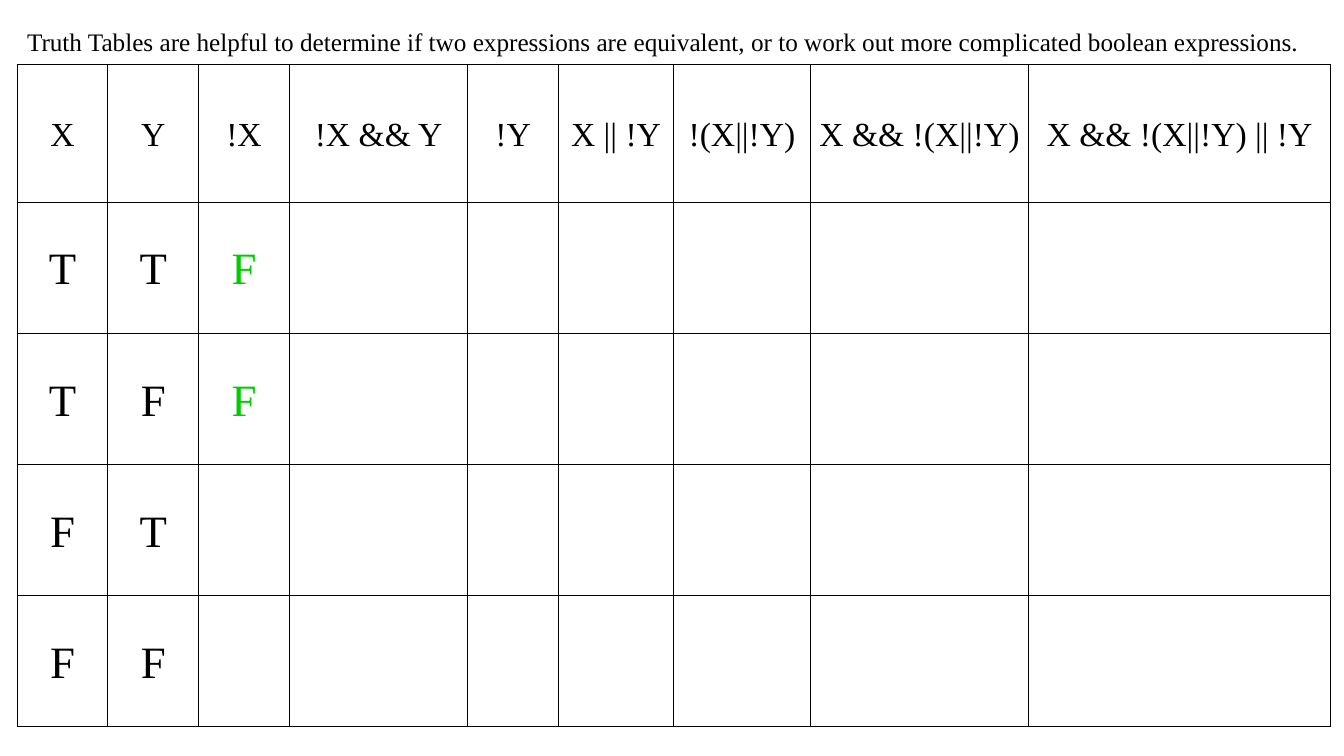
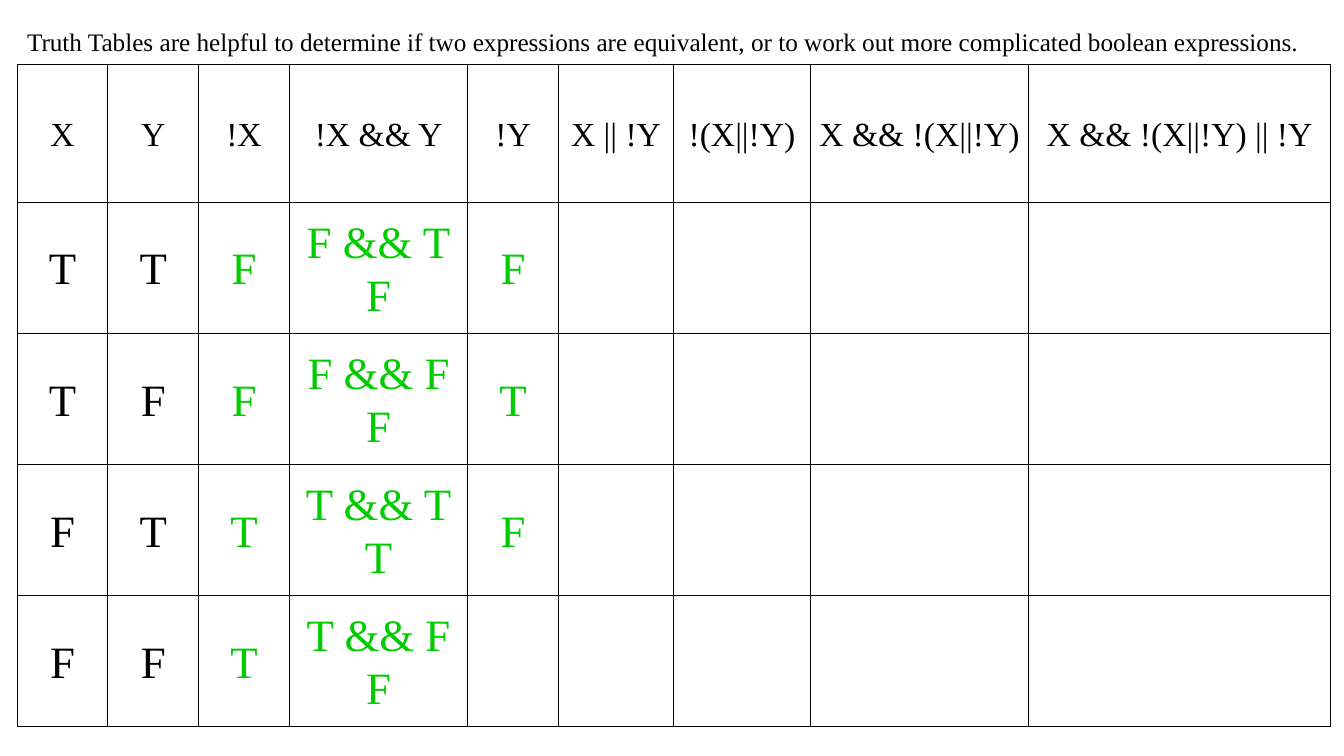
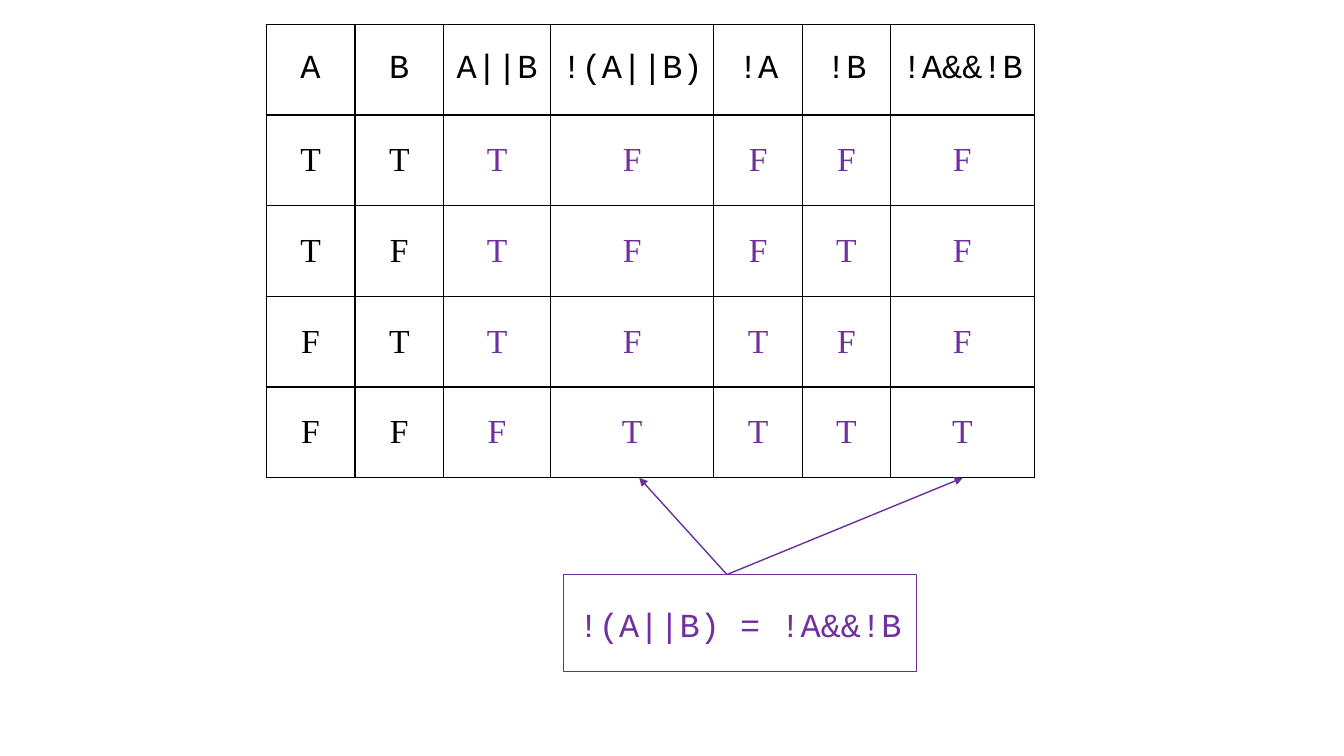
from pptx import Presentation
from pptx.dml.color import RGBColor
from pptx.enum.shapes import MSO_CONNECTOR, MSO_SHAPE
from pptx.enum.text import MSO_ANCHOR as Anchor, PP_ALIGN as Align
from pptx.oxml import parse_xml
from pptx.oxml.ns import nsdecls
from pptx.util import Inches, Pt

BLACK = RGBColor(0x00, 0x00, 0x00)
WHITE = RGBColor(0xFF, 0xFF, 0xFF)
GREEN = RGBColor(0x00, 0xCC, 0x00)
PURPLE = RGBColor(0x70, 0x30, 0xA0)
OUTLINE = RGBColor(0x6E, 0x2F, 0x9D)
SERIF = "Times New Roman"
MONO = "Courier New"

CAPTION = ("Truth Tables are helpful to determine if two expressions are equivalent, "
           "or to work out more complicated boolean expressions.")
EXPRESSIONS = ["X", "Y", "!X", "!X && Y", "!Y", "X || !Y", "!(X||!Y)",
               "X && !(X||!Y)", "X && !(X||!Y) || !Y"]
EXPRESSION_WIDTHS = [0.9, 0.9, 0.9, 1.77, 0.9, 1.14, 1.36, 2.16, 3]
EXPRESSION_HEIGHTS = [1.37] + [1.3] * 4
INPUTS = ["TT", "TF", "FT", "FF"]
STARTED = [["F"], ["F"], [], []]
CONTINUED = [["F", "F && T\nF", "F"], ["F", "F && F\nF", "T"],
             ["T", "T && T\nT", "F"], ["T", "T && F\nF"]]
DE_MORGAN = ["A", "B", "A||B", "!(A||B)", "!A", "!B", "!A&&!B"]
DE_MORGAN_WIDTHS = [0.88, 0.88, 1.06, 1.62, 0.88, 0.87, 1.43]
DE_MORGAN_ANSWERS = ["TFFFF", "TFFTF", "TFTFF", "FTTTT"]


class Deck:
    def __init__(self):
        self.presentation = Presentation()
        self.presentation.slide_width = Inches(13.33)
        self.presentation.slide_height = Inches(7.5)
        self.shapes = None

    def new_slide(self):
        blank = self.presentation.slide_layouts[6]
        self.shapes = self.presentation.slides.add_slide(blank).shapes

    def set_text(self, frame, text, size, font, color, align=Align.CENTER, spacing=1.07):
        frame.text = text
        for paragraph in frame.paragraphs:
            paragraph.alignment = align
            paragraph.line_spacing = spacing
            for run in paragraph.runs:
                run.font.size = Pt(size)
                run.font.name = font
                run.font.color.rgb = color

    def caption(self, text):
        frame = self.shapes.add_textbox(
            Inches(0.17), Inches(0.19), Inches(13), Inches(0.41)).text_frame
        frame.word_wrap = True
        self.set_text(frame, text, 18, SERIF, BLACK, Align.LEFT)

    def style_cell(self, cell):
        for side in ("lnL", "lnR", "lnT", "lnB"):
            cell._tc.get_or_add_tcPr().append(parse_xml(
                f'<a:{side} {nsdecls("a")} w="{Pt(1)}"><a:solidFill>'
                f'<a:srgbClr val="{BLACK}"/></a:solidFill></a:{side}>'))
        cell.fill.background()
        cell.vertical_anchor = Anchor.MIDDLE
        cell.margin_left = cell.margin_right = Inches(0.07)
        cell.margin_top = cell.margin_bottom = 0

    def truth_table(self, left, top, widths, heights, headers, answers,
                    answer_color, header_font=SERIF, value_size=32, spacing=1.07):
        table = self.shapes.add_table(
            len(heights), len(widths), Inches(left), Inches(top),
            Inches(sum(widths)), Inches(sum(heights))).table
        table.first_row = table.horz_banding = False
        for column, width in zip(table.columns, widths):
            column.width = Inches(width)
        for row, height in zip(table.rows, heights):
            row.height = Inches(height)
        for cell in table.iter_cells():
            self.style_cell(cell)
        for column, header in enumerate(headers):
            self.set_text(table.cell(0, column).text_frame, header, 24,
                          header_font, BLACK, spacing=spacing)
        for row, (given, found) in enumerate(zip(INPUTS, answers), 1):
            for column, value in enumerate([*given, *found]):
                color = BLACK if column < len(given) else answer_color
                self.set_text(table.cell(row, column).text_frame, value, value_size,
                              SERIF, color, spacing=spacing)

    def arrow(self, start, end):
        connector = self.shapes.add_connector(
            MSO_CONNECTOR.STRAIGHT, *(Inches(value) for value in (*start, *end)))
        connector.line.color.rgb = OUTLINE
        connector.line.width = Pt(1)
        connector.line._get_or_add_ln().append(
            parse_xml(f'<a:tailEnd {nsdecls("a")} type="triangle"/>'))
        connector._element.spPr.append(parse_xml(f'<a:effectLst {nsdecls("a")}/>'))

    def conclusion(self, left, top, width, height, text):
        box = self.shapes.add_shape(
            MSO_SHAPE.RECTANGLE, Inches(left), Inches(top), Inches(width), Inches(height))
        box.shadow.inherit = False
        box.fill.solid()
        box.fill.fore_color.rgb = WHITE
        box.line.color.rgb = OUTLINE
        box.line.width = Pt(0.5)
        box.text_frame.word_wrap = True
        box.text_frame.vertical_anchor = Anchor.MIDDLE
        self.set_text(box.text_frame, text, 24, MONO, PURPLE)


def main():
    deck = Deck()
    for answers in (STARTED, CONTINUED):
        deck.new_slide()
        deck.caption(CAPTION)
        deck.truth_table(0.17, 0.64, EXPRESSION_WIDTHS, EXPRESSION_HEIGHTS,
                         EXPRESSIONS, answers, GREEN)

    deck.new_slide()
    deck.truth_table(2.64, 0.24, DE_MORGAN_WIDTHS, [0.9] * 5, DE_MORGAN,
                     DE_MORGAN_ANSWERS, PURPLE, header_font=MONO, value_size=24, spacing=1.0)
    for equal_column in (9.55, 6.34):
        deck.arrow((7.21, 5.7), (equal_column, 4.74))
    deck.conclusion(5.59, 5.7, 3.5, 0.96, "!(A||B) = !A&&!B")
    deck.presentation.save("out.pptx")


if __name__ == "__main__":
    main()
